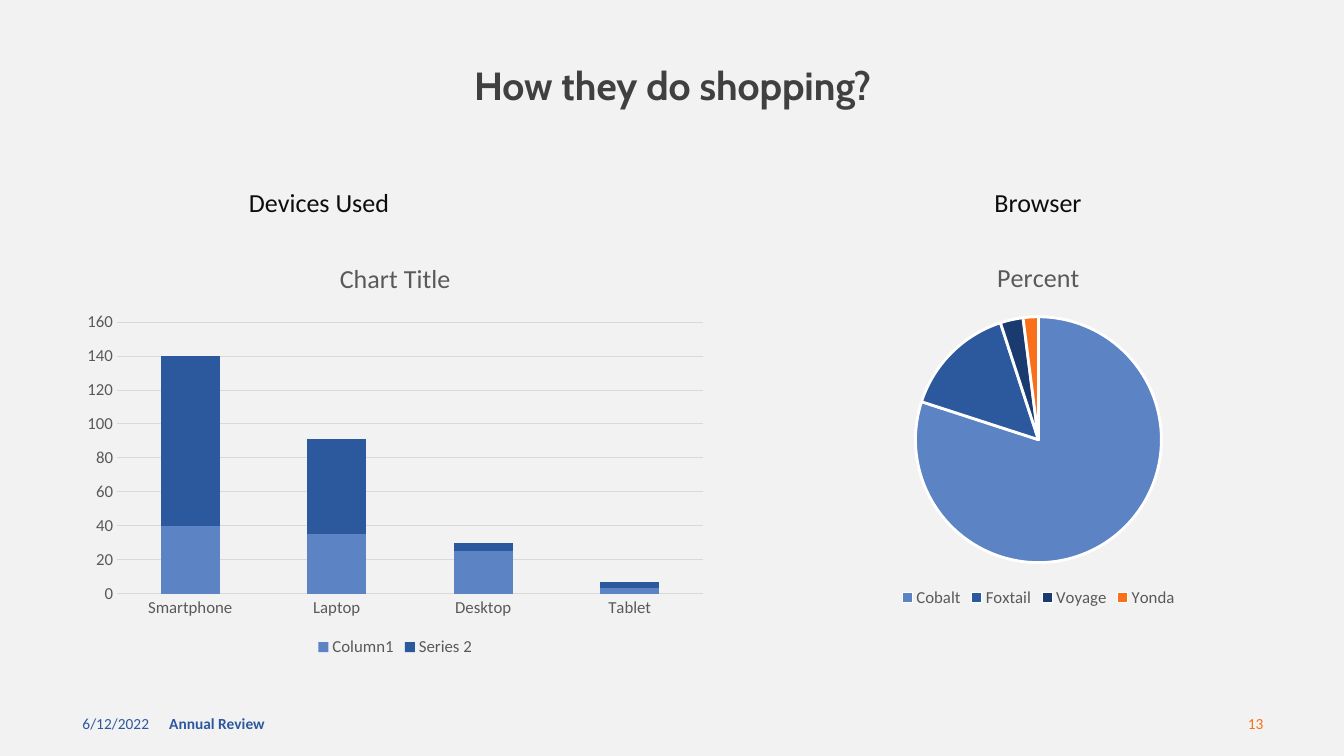
import pptx
import pptx.chart.data
import pptx.dml.color
import pptx.enum.chart
import pptx.enum.text
import pptx.util

COLORS = {
    "background": "F2F2F2", "title": "404040", "heading": "0D0D0D",
    "chart_text": "595959", "grid": "D9D9D9", "white": "FFFFFF",
    "light_blue": "5C83C4", "blue": "2C599D", "navy": "1A3B70", "orange": "FA6F1A",
}
BODY_FONT = "Calibri"
HEADING_SIZE = 18.6
Align = pptx.enum.text.PP_ALIGN
ChartType = pptx.enum.chart.XL_CHART_TYPE
Inches = pptx.util.Inches


def rgb(name):
    return pptx.dml.color.RGBColor.from_string(COLORS[name])


def set_font(font, size, color, bold=False, face=BODY_FONT):
    font.name = face
    font.size = pptx.util.Pt(size)
    font.bold = bold
    font.color.rgb = rgb(color)


deck = pptx.Presentation()
deck.slide_width, deck.slide_height = Inches(13.33), Inches(7.5)
slide = deck.slides.add_slide(deck.slide_layouts[5])
slide.background.fill.solid()
slide.background.fill.fore_color.rgb = rgb("background")

# Title
title = slide.shapes.title
title.left, title.top, title.width, title.height = map(Inches, (0.47, 0.49, 12.4, 0.77))
title.text_frame.text = "How they do shopping?"
title.text_frame.vertical_anchor = pptx.enum.text.MSO_ANCHOR.MIDDLE
title_line = title.text_frame.paragraphs[0]
title_line.alignment = Align.CENTER
title_line.line_spacing = 0.9
set_font(title_line.font, 28, "title", bold=True, face="Cabin")

# Footer and column headings
HEADING_ROW, FOOTER_ROW = (1.8, 0.41), (6.98, 0.4)
labels = [
    ("6/12/2022", 0.72, 3, FOOTER_ROW, Align.LEFT, 11, "blue", False),
    ("Annual Review", 1.58, 4.5, FOOTER_ROW, Align.LEFT, 11, "blue", True),
    ("13", 9.63, 3, FOOTER_ROW, Align.RIGHT, 11, "orange", False),
    ("Devices Used", -0.17, 6.67, HEADING_ROW, Align.CENTER, HEADING_SIZE, "heading", False),
    ("Browser", 6.92, 6.75, HEADING_ROW, Align.CENTER, HEADING_SIZE, "heading", False),
]
for wording, left, width, (top, height), alignment, size, color, bold in labels:
    label = slide.shapes.add_textbox(*map(Inches, (left, top, width, height))).text_frame
    label.word_wrap = True
    label.vertical_anchor = pptx.enum.text.MSO_ANCHOR.MIDDLE
    label.text = wording
    label.paragraphs[0].alignment = alignment
    set_font(label.paragraphs[0].font, size, color, bold)

# Charts
device_data = pptx.chart.data.CategoryChartData()
device_data.categories = ["Smartphone", "Laptop", "Desktop", "Tablet"]
device_data.add_series("Column1", (40, 35, 25, 3))
device_data.add_series("Series 2", (100, 56, 5, 4))

browser_data = pptx.chart.data.CategoryChartData()
browser_data.categories = ["Cobalt", "Foxtail", "Voyage", "Yonda"]
browser_data.add_series("Percent", (80, 15, 3, 2))

CHART_TOP = 2.4
devices, browsers = [
    slide.shapes.add_chart(kind, *map(Inches, (left, CHART_TOP, width, height)), data).chart
    for kind, left, width, height, data in (
        (ChartType.COLUMN_STACKED, 0.74, 6.36, 4.16, device_data),
        (ChartType.PIE, 7.91, 4.78, 3.67, browser_data),
    )
]
for chart, heading in ((devices, "Chart Title"), (browsers, "Percent")):
    set_font(chart.font, 12, "chart_text")
    chart.has_title = True
    chart.chart_title.include_in_layout = False
    chart.chart_title.text_frame.text = heading
    set_font(chart.chart_title.text_frame.paragraphs[0].font, HEADING_SIZE, "chart_text")
    chart.has_legend = True
    chart.legend.position = pptx.enum.chart.XL_LEGEND_POSITION.BOTTOM
    chart.legend.include_in_layout = False
    set_font(chart.legend.font, 12, "chart_text")

# Stacked columns
columns = devices.plots[0]
columns.gap_width, columns.overlap = 150, 100
columns.vary_by_categories = False
for series, color in zip(columns.series, ("light_blue", "blue")):
    series.format.fill.solid()
    series.format.fill.fore_color.rgb = rgb(color)
for axis in (devices.category_axis, devices.value_axis):
    axis.major_tick_mark = axis.minor_tick_mark = pptx.enum.chart.XL_TICK_MARK.NONE
    axis.format.line.fill.background()
    set_font(axis.tick_labels.font, 12, "chart_text")
devices.value_axis.has_major_gridlines = True
gridline = devices.value_axis.major_gridlines.format.line
gridline.width = pptx.util.Pt(0.75)
gridline.color.rgb = rgb("grid")

# Pie slices
browsers.plots[0].vary_by_categories = True
shares = browsers.plots[0].series[0]
for index, color in enumerate(("light_blue", "blue", "navy", "orange")):
    piece = shares.points[index].format
    piece.fill.solid()
    piece.fill.fore_color.rgb = rgb(color)
    piece.line.width = pptx.util.Pt(2)
    piece.line.color.rgb = rgb("white")

deck.save("out.pptx")
